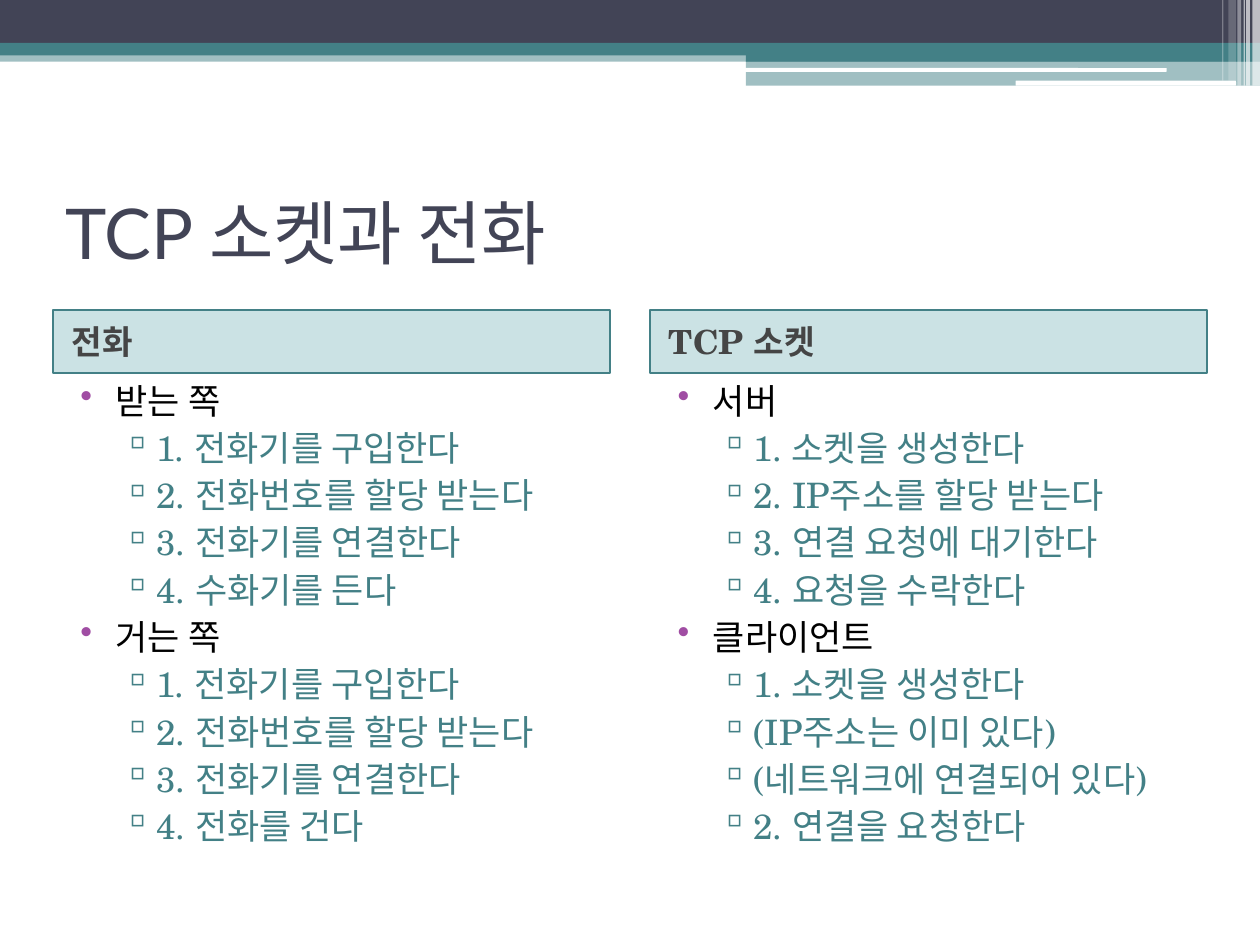
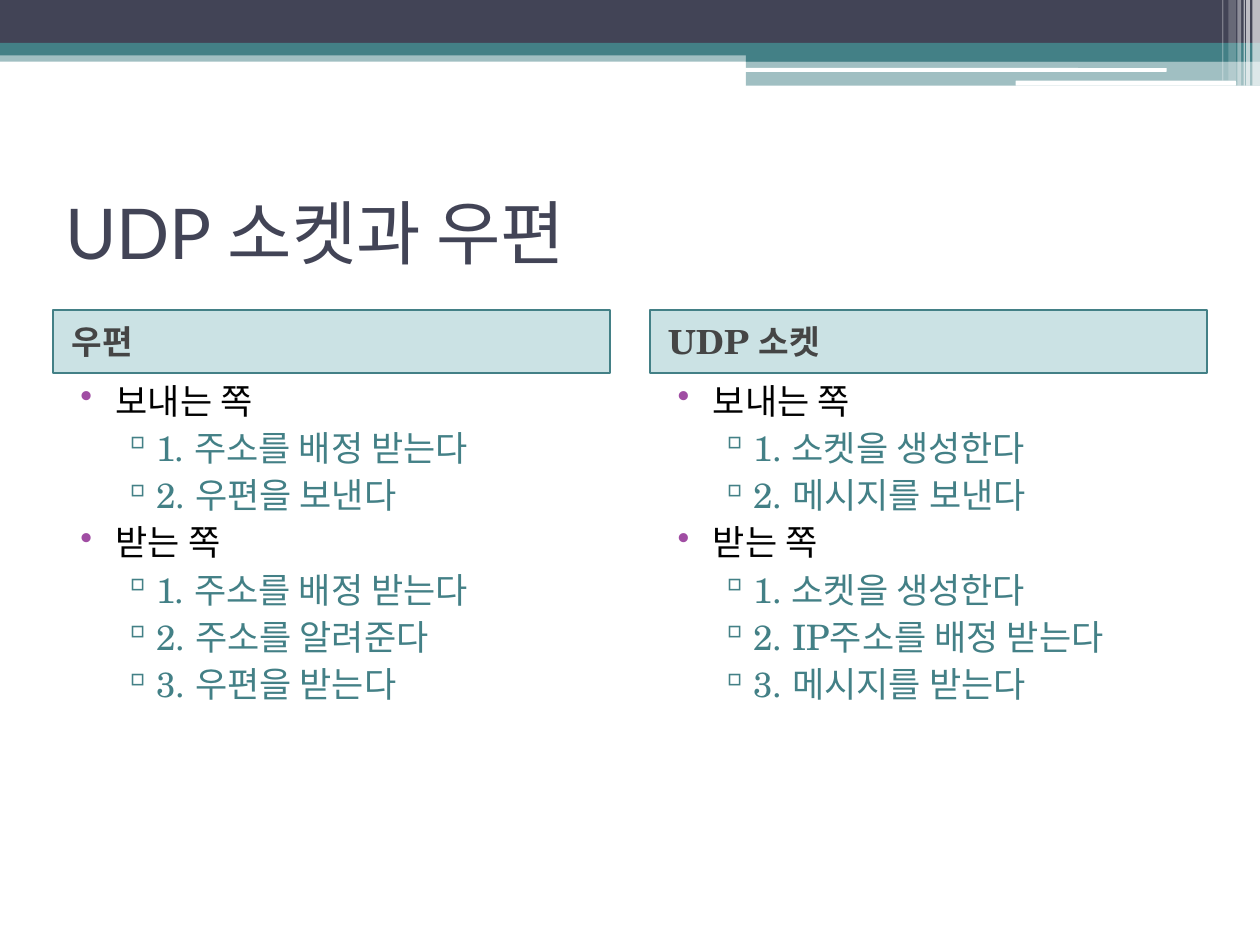
"""Build two slides that compare sockets with the phone and the post."""
from lxml import etree
from pptx import Presentation
from pptx import util as u
from pptx.dml.color import RGBColor
from pptx.enum import shapes, text
from pptx.oxml import ns

NAVY = RGBColor(0x42, 0x44, 0x56)
TEAL = RGBColor(0x43, 0x80, 0x86)
AQUA = RGBColor(0x32, 0x8E, 0x97)
PLUM = RGBColor(0xA0, 0x4D, 0xA3)
GREY = RGBColor(0x45, 0x45, 0x45)
BLACK = RGBColor(0, 0, 0)
WHITE = RGBColor(0xFF, 0xFF, 0xFF)

COLS, ROWS = 100, 75
LEFT, WIDE, GAP = 4.2, 44.2, 3.2
HEAD_TOP, HEAD_HIGH, LIST_HIGH = 24.6, 5, 42.5

SERIF = "TeX Gyre Schola"
TITLE = {"size": u.Pt(40), "name": "Lato", "color": NAVY}
HEAD = {"size": u.Pt(19), "name": SERIF, "bold": True, "color": GREY}
LEVELS = [
    {"mark": "•", "tint": PLUM, "left": 0.4, "hang": -0.28,
     "font": {"size": u.Pt(20), "name": SERIF, "color": BLACK}},
    {"mark": "▫", "tint": TEAL, "left": 0.72, "hang": -0.27,
     "font": {"size": u.Pt(20), "name": SERIF, "color": TEAL}},
]

BANDS = [
    (0, 4, 100, 0.9, TEAL, 50),
    (0, 0, 100, 3.4, NAVY, 100),
    (0, 3.4, 100, 1, TEAL, 100),
    (59.2, 3.9, 40.8, 1, TEAL, 100),
    (59.2, 4.8, 40.8, 2, TEAL, 50),
]
SLOTS = [(59.1, 5.4, 33.5, 0.3), (80.6, 6.4, 17.5, 0.4)]
STRIPES = [
    (99.4, 0.6, 6.8, 65), (98.9, 0.3, 6.8, 65), (98.7, 0.1, 6.8, 60),
    (98.2, 0.3, 6.8, 40), (97.5, 0.6, 6.4, 20), (97, 0.1, 6.4, 30),
]

PAGES = [
    ("TCP 소켓과 전화", [
        ("전화", [
            ("받는 쪽", ["1. 전화기를 구입한다", "2. 전화번호를 할당 받는다",
                      "3. 전화기를 연결한다", "4. 수화기를 든다"]),
            ("거는 쪽", ["1. 전화기를 구입한다", "2. 전화번호를 할당 받는다",
                      "3. 전화기를 연결한다", "4. 전화를 건다"]),
        ]),
        ("TCP 소켓", [
            ("서버", ["1. 소켓을 생성한다", "2. IP주소를 할당 받는다",
                    "3. 연결 요청에 대기한다", "4. 요청을 수락한다"]),
            ("클라이언트", ["1. 소켓을 생성한다", "(IP주소는 이미 있다)",
                       "(네트워크에 연결되어 있다)", "2. 연결을 요청한다"]),
        ]),
    ]),
    ("UDP 소켓과 우편", [
        ("우편", [
            ("보내는 쪽", ["1. 주소를 배정 받는다", "2. 우편을 보낸다"]),
            ("받는 쪽", ["1. 주소를 배정 받는다", "2. 주소를 알려준다",
                      "3. 우편을 받는다"]),
        ]),
        ("UDP 소켓", [
            ("보내는 쪽", ["1. 소켓을 생성한다", "2. 메시지를 보낸다"]),
            ("받는 쪽", ["1. 소켓을 생성한다", "2. IP주소를 배정 받는다",
                      "3. 메시지를 받는다"]),
        ]),
    ]),
]


class Deck:
    """Hold the style and the current slide."""

    def __init__(self):
        """Start an empty file of the right size."""
        self.file = Presentation()
        self.file.slide_width = u.Inches(10)
        self.file.slide_height = u.Inches(7.5)
        self.slide = None

    def area(self, x, y, w, h):
        """Turn columns and rows into lengths."""
        col = self.file.slide_width / COLS
        row = self.file.slide_height / ROWS
        return [u.Emu(round(n * size)) for n, size in
                zip((x, y, w, h), (col, row, col, row))]

    def style(self, para, form):
        """Set the font of a paragraph from format values."""
        for key, value in form.items():
            if key == "color":
                para.font.color.rgb = value
            else:
                setattr(para.font, key, value)

    def indent(self, para, left, hang=0):
        """Set the margin and first-line indent in inches."""
        prop = para._p.get_or_add_pPr()
        prop.set("marL", str(u.Inches(left)))
        prop.set("indent", str(u.Inches(hang)))
        return prop

    def block(self, box, color, alpha=100, kind="RECTANGLE"):
        """Draw a flat shape with no outline."""
        form = shapes.MSO_SHAPE[kind]
        item = self.slide.shapes.add_shape(form, *self.area(*box))
        item.shadow.inherit = False
        item.fill.solid()
        item.fill.fore_color.rgb = color
        item.line.fill.background()
        if alpha < 100:
            tone = item._element.spPr.find(ns.qn("a:solidFill"))[0]
            etree.SubElement(tone, ns.qn("a:alpha"), val=str(alpha * 1000))
        return item

    def frame(self, box, anchor):
        """Add a wrapped text box and give its text frame."""
        body = self.slide.shapes.add_textbox(*self.area(*box)).text_frame
        body.word_wrap = True
        body.vertical_anchor = anchor
        return body

    def bands(self):
        """Draw the bands and stripes at the top."""
        for *box, color, alpha in BANDS:
            self.block(box, color, alpha)
        for box in SLOTS:
            self.block(box, WHITE, kind="ROUNDED_RECTANGLE")
        for x, w, h, alpha in STRIPES:
            self.block((x, 0, w, h), WHITE, alpha)

    def title(self, words):
        """Write the slide title."""
        box = (LEFT, 12.5, COLS - 2 * LEFT, 11.7)
        para = self.frame(box, text.MSO_ANCHOR.MIDDLE).paragraphs[0]
        para.text = words
        self.style(para, TITLE)

    def head(self, x, words):
        """Draw the heading box of a column."""
        item = self.block((x, HEAD_TOP, WIDE, HEAD_HIGH), AQUA, 25)
        item.line.color.rgb = TEAL
        item.line.width = u.Pt(1)
        item.text_frame.vertical_anchor = text.MSO_ANCHOR.MIDDLE
        para = item.text_frame.paragraphs[0]
        para.text = words
        para.alignment = text.PP_ALIGN.LEFT
        self.indent(para, 0.05)
        self.style(para, HEAD)

    def point(self, para, words, depth):
        """Write one bulleted line."""
        form = LEVELS[depth]
        para.text = words
        para.level = depth
        prop = self.indent(para, form["left"], form["hang"])
        tint = etree.SubElement(prop, ns.qn("a:buClr"))
        etree.SubElement(tint, ns.qn("a:srgbClr"), val=str(form["tint"]))
        etree.SubElement(prop, ns.qn("a:buChar"), char=form["mark"])
        self.style(para, form["font"])

    def points(self, x, groups):
        """Write the two-level list of a column."""
        box = (x, HEAD_TOP + HEAD_HIGH, WIDE, LIST_HIGH)
        body = self.frame(box, text.MSO_ANCHOR.TOP)
        lines = [(words, depth) for side, steps in groups
                 for words, depth in [(side, 0)] + [(s, 1) for s in steps]]
        for rank, (words, depth) in enumerate(lines):
            para = body.add_paragraph() if rank else body.paragraphs[0]
            self.point(para, words, depth)
            para.space_before = u.Pt(3 if rank else 0)

    def page(self, title, columns):
        """Add a slide with a title and its columns."""
        self.slide = self.file.slides.add_slide(self.file.slide_layouts[6])
        self.bands()
        self.title(title)
        for rank, (head, groups) in enumerate(columns):
            x = LEFT + rank * (WIDE + GAP)
            self.head(x, head)
            self.points(x, groups)


def main():
    """Build and save the slides."""
    deck = Deck()
    for title, columns in PAGES:
        deck.page(title, columns)
    deck.file.save("out.pptx")


if __name__ == "__main__":
    main()
